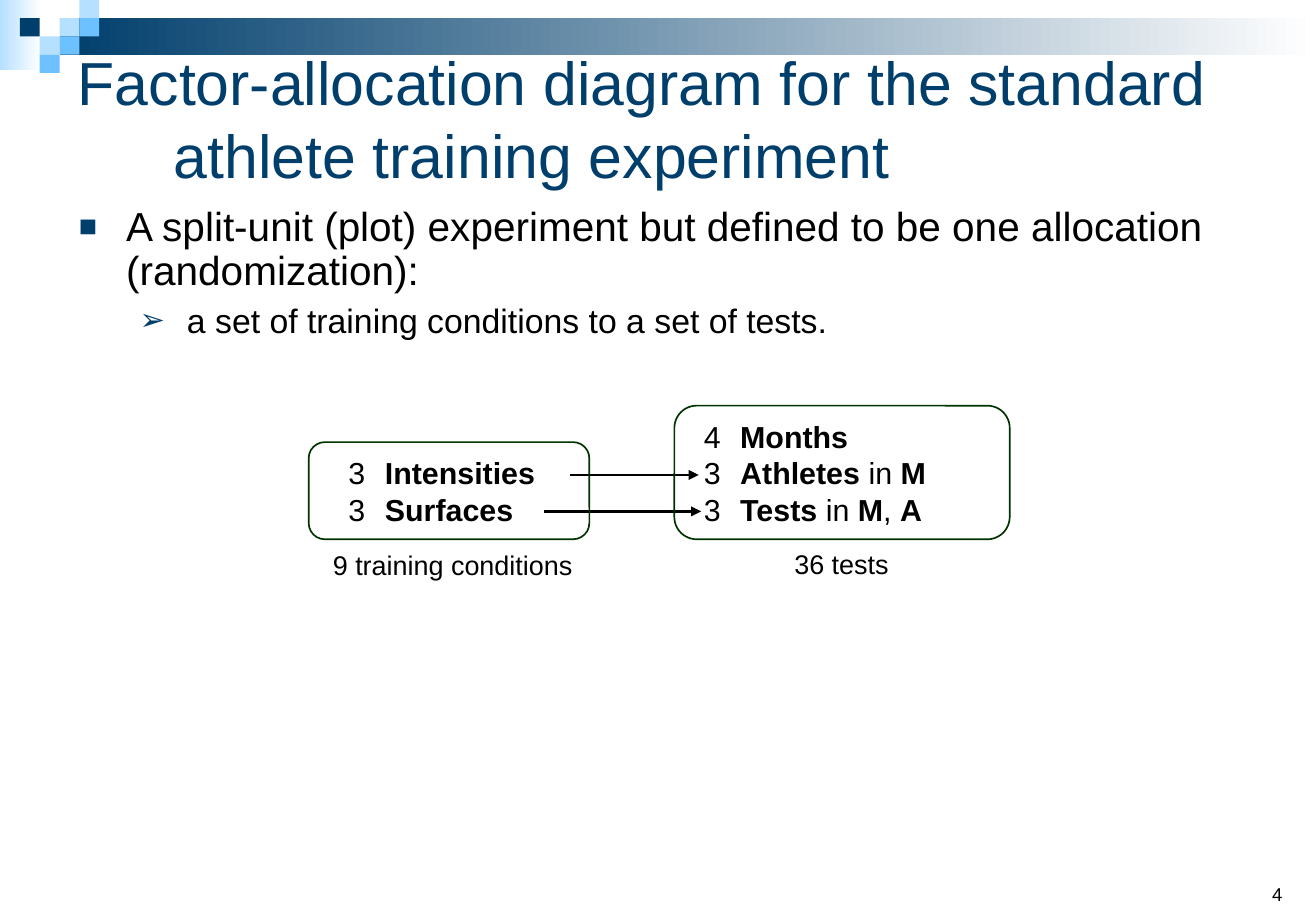
from dataclasses import dataclass

from lxml.etree import SubElement
from pptx import Presentation
from pptx.dml.color import RGBColor
from pptx.enum.shapes import MSO_CONNECTOR, MSO_SHAPE
from pptx.enum.text import MSO_ANCHOR, PP_ALIGN
from pptx.oxml.ns import qn
from pptx.util import Inches, Pt


@dataclass(frozen=True)
class Theme:
    font: str = "Arial"
    navy: str = "003E6C"
    sky: str = "6DC1FF"
    pale: str = "B6E0FF"
    white: str = "FFFFFF"
    black: str = "000000"
    outline: str = "003300"
    title: int = 36
    body: int = 24
    detail: int = 20
    factor: int = 18
    caption: int = 16
    number: int = 11


theme = Theme()


def style_text(para, size, color=theme.black):
    for span in para.runs:
        span.font.name = theme.font
        span.font.size = Pt(size)
        span.font.color.rgb = RGBColor.from_string(color)


def set_indent(para, margin, hanging):
    properties = para._p.get_or_add_pPr()
    properties.set("marL", str(Inches(margin)))
    properties.set("indent", str(-Inches(hanging)))
    return properties


deck = Presentation()
deck.slide_width = Inches(10.83)
deck.slide_height = Inches(7.5)
page = deck.slides.add_slide(deck.slide_layouts[5])

bands = [
    (0, 0, 0.34, 0.58, theme.pale),
    (0.49, 0.15, 10.34, 0.3, theme.navy),
]
for left, top, width, height, color in bands:
    band = page.shapes.add_shape(
        MSO_SHAPE.RECTANGLE, Inches(left), Inches(top), Inches(width), Inches(height)
    )
    band.shadow.inherit = False
    band.line.fill.background()
    band.fill.gradient()
    band.fill.gradient_angle = 0
    for stop, position, stop_color in zip(band.fill.gradient_stops, (0, 1), (color, theme.white)):
        stop.position = position
        stop.color.rgb = RGBColor.from_string(stop_color)

tile_width, tile_height = 0.49 / 3, 0.15
tiles = [
    (3, 1, theme.pale),
    (4, 0, theme.pale),
    (4, 1, theme.sky),
    (2, 2, theme.pale),
    (1, 1, theme.navy),
    (3, 2, theme.sky),
    (2, 3, theme.sky),
]
for column, row, color in tiles:
    tile = page.shapes.add_shape(
        MSO_SHAPE.RECTANGLE,
        Inches(column * tile_width),
        Inches(row * tile_height),
        Inches(tile_width),
        Inches(tile_height),
    )
    tile.shadow.inherit = False
    tile.line.fill.background()
    tile.fill.solid()
    tile.fill.fore_color.rgb = RGBColor.from_string(color)

title = page.shapes.title
title.left, title.top = Inches(0.54), Inches(0.42)
title.width, title.height = Inches(9.75), Inches(1.1)
title.text_frame.text = "Factor-allocation diagram for the standard athlete training experiment"
title.text_frame.word_wrap = True
title.text_frame.vertical_anchor = MSO_ANCHOR.MIDDLE
heading = title.text_frame.paragraphs[0]
heading.alignment = PP_ALIGN.LEFT
set_indent(heading, 0.79, 0.79)
style_text(heading, theme.title, theme.navy)

body = page.shapes.add_textbox(Inches(0.55), Inches(1.65), Inches(10.28), Inches(1))
body.text_frame.word_wrap = True
points = [
    ("A split-unit (plot) experiment but defined to be one allocation (randomization):",
     0, 0.39, "■", 75, theme.body),
    ("a set of training conditions to a set of tests.",
     1, 0.89, "➢", 90, theme.detail),
]
body.text_frame.text = "\n".join(point[0] for point in points)
for para, (_, level, margin, bullet, percent, size) in zip(body.text_frame.paragraphs, points):
    para.level = level
    para.line_spacing = 0.9
    para.space_before = Pt(6)
    style_text(para, size)
    properties = set_indent(para, margin, 0.39)
    bullet_color = SubElement(properties, qn("a:buClr"))
    SubElement(bullet_color, qn("a:srgbClr"), val=theme.navy)
    SubElement(properties, qn("a:buSzPct"), val=str(percent * 1000))
    SubElement(properties, qn("a:buFont"), typeface=theme.font)
    SubElement(properties, qn("a:buChar"), char=bullet)

for start, end, height in [(4.69, 5.75, 3.91), (4.48, 5.77, 4.21)]:
    arrow = page.shapes.add_connector(
        MSO_CONNECTOR.STRAIGHT, Inches(start), Inches(height), Inches(end), Inches(height)
    )
    arrow.line.color.rgb = RGBColor.from_string(theme.black)
    arrow.line.width = Pt(1.5)
    SubElement(arrow.line._get_or_add_ln(), qn("a:tailEnd"), type="triangle")
    SubElement(arrow._element.spPr, qn("a:effectLst"))

panels = [
    ((2.54, 3.64, 2.31, 0.8), 0.49, [
        [("3\t", False), ("Intensities", True)],
        [("3\t", False), ("Surfaces", True)],
    ]),
    ((5.55, 3.34, 2.76, 1.1), 0.39, [
        [("4\t", False), ("Months", True)],
        [("3\t", False), ("Athletes ", True), ("in ", False), ("M", True)],
        [("3\t", False), ("Tests ", True), ("in ", False), ("M", True),
         (", ", False), ("A", True)],
    ]),
]
for place, margin, factors in panels:
    panel = page.shapes.add_shape(MSO_SHAPE.ROUNDED_RECTANGLE, *map(Inches, place))
    panel.adjustments[0] = 0.167
    panel.shadow.inherit = False
    panel.fill.background()
    panel.line.color.rgb = RGBColor.from_string(theme.outline)
    panel.line.width = Pt(1)
    frame = panel.text_frame
    frame.word_wrap = False
    frame.vertical_anchor = MSO_ANCHOR.MIDDLE
    for index, factor in enumerate(factors):
        para = frame.add_paragraph() if index else frame.paragraphs[0]
        para.alignment = PP_ALIGN.LEFT
        set_indent(para, margin, 0.3)
        for text, bold in factor:
            span = para.add_run()
            span.text = text
            span.font.bold = bold
        style_text(para, theme.factor)

labels = [
    ("9 training conditions", (2.5, 4.47, 2.45, 0.37), theme.caption, PP_ALIGN.CENTER, MSO_ANCHOR.TOP),
    ("36 tests", (5.88, 4.46, 2.09, 0.37), theme.caption, PP_ALIGN.CENTER, MSO_ANCHOR.TOP),
    ("4", (10.37, 7, 0.46, 0.5), theme.number, PP_ALIGN.LEFT, MSO_ANCHOR.BOTTOM),
]
for text, place, size, alignment, anchor in labels:
    label = page.shapes.add_textbox(*map(Inches, place))
    label.text_frame.word_wrap = True
    label.text_frame.vertical_anchor = anchor
    label.text_frame.text = text
    para = label.text_frame.paragraphs[0]
    para.alignment = alignment
    style_text(para, size)

deck.save("out.pptx")
